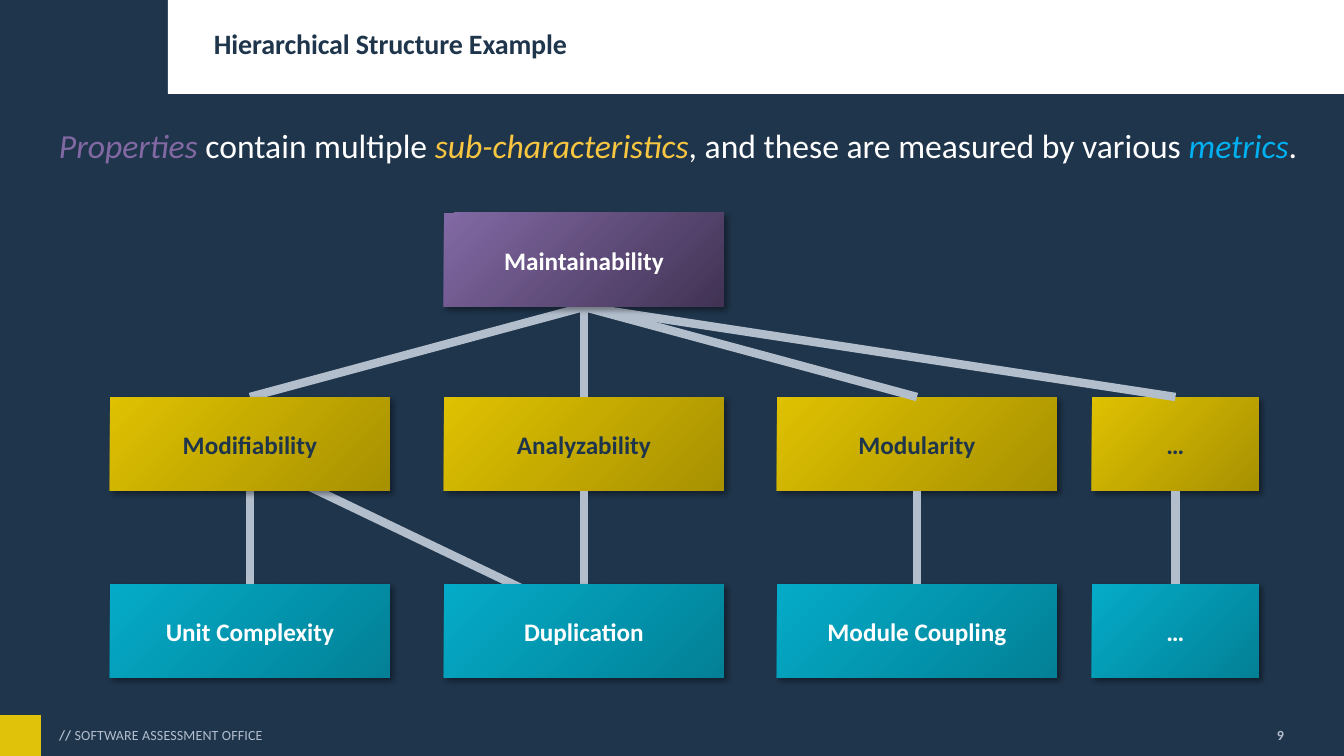
"""Builds the slide that shows a hierarchy of properties, sub-characteristics and metrics."""
from lxml import etree
from pptx import Presentation
from pptx.dml.color import RGBColor
from pptx.enum.shapes import MSO_CONNECTOR, MSO_SHAPE
from pptx.enum.text import MSO_ANCHOR, MSO_AUTO_SIZE, PP_ALIGN
from pptx.oxml import parse_xml
from pptx.oxml.ns import nsdecls, qn
from pptx.util import Pt

RECTANGLE, STRAIGHT = MSO_SHAPE.RECTANGLE, MSO_CONNECTOR.STRAIGHT
TOP, MIDDLE = MSO_ANCHOR.TOP, MSO_ANCHOR.MIDDLE
LEFT, CENTER, RIGHT = PP_ALIGN.LEFT, PP_ALIGN.CENTER, PP_ALIGN.RIGHT
FIXED, GROW = MSO_AUTO_SIZE.NONE, MSO_AUTO_SIZE.SHAPE_TO_FIT_TEXT
SIDE_TOP, SIDE_BOTTOM = 0, 2
PX = 914400 / 100.8

THEME = {
    "font": "Calibri",
    "navy": "1F354B", "white": "FFFFFF", "yellow": "E0C20A", "grey": "B2BECD",
    "link": "B3BECD", "property": "8369A4", "sub": "F8C640", "metric": "00B0F0",
    "title_size": 20, "intro_size": 24, "card_size": 18, "footer_size": 10, "link_width": 6,
    "tiers": [("8269A4", "413354", "FFFFFF"),
              ("DFC101", "A79101", "1F354B"),
              ("04ABC8", "038096", "FFFFFF")],
}


def px(*lengths):
    """Turn pixel lengths into EMU."""
    return [round(length * PX) for length in lengths]


def write(box, spans, size, insets, frame_format, para_format, spacing=0):
    """Fill one paragraph with (text, colour, bold, italic) spans."""
    frame = box.text_frame
    margins = ("margin_left", "margin_top", "margin_right", "margin_bottom")
    for name, value in [*zip(margins, px(*insets)), *frame_format.items()]:
        setattr(frame, name, value)
    para = frame.paragraphs[0]
    for name, value in para_format.items():
        setattr(para, name, value)
    for text, colour, bold, italic in spans:
        span = para.add_run()
        span.text = text
        font_format = {"name": THEME["font"], "size": Pt(size), "bold": bold, "italic": italic}
        for name, value in font_format.items():
            setattr(span.font, name, value)
        span.font.color.rgb = RGBColor.from_string(colour)
        if spacing:
            span.font._element.set("spc", str(spacing))


deck = Presentation()
deck.slide_width, deck.slide_height = px(1344, 756)
page = deck.slides.add_slide(deck.slide_layouts[5])

bands = [((0, 0, 1344, 756), "navy"), ((168, 0, 1176, 94), "white"), ((0, 715, 41, 41), "yellow")]
for place, colour in bands:
    band = page.shapes.add_shape(RECTANGLE, *px(*place))
    band.shadow.inherit = False
    band.fill.solid()
    band.fill.fore_color.rgb = RGBColor.from_string(THEME[colour])
    band.line.fill.background()

title = page.shapes.title
title.element.getparent().append(title.element)
title.left, title.top, title.width, title.height = px(214, 30, 1082, 31)
write(title, [("Hierarchical Structure Example", THEME["navy"], True, False)],
      THEME["title_size"], (0, 0, 0, 0),
      {"vertical_anchor": TOP, "auto_size": FIXED, "word_wrap": True},
      {"alignment": LEFT, "line_spacing": 0.9}, -10)

footer_insets = (0, 4, 10, 5)
footer = page.shapes.add_textbox(*px(59, 715, 533, 41))
write(footer, [("//", THEME["grey"], True, False),
               (" SOFTWARE ASSESSMENT OFFICE", THEME["grey"], False, False)],
      THEME["footer_size"], footer_insets,
      {"vertical_anchor": MIDDLE, "word_wrap": True}, {"alignment": LEFT}, 10)
number = page.shapes.add_textbox(*px(1267, 722, 27, 26))
write(number, [("9", THEME["grey"], True, False)], THEME["footer_size"], footer_insets,
      {"vertical_anchor": MIDDLE, "word_wrap": False, "auto_size": GROW},
      {"alignment": RIGHT}, 10)

intro = page.shapes.add_textbox(*px(49, 115, 1272, 53))
write(intro, [("Properties", THEME["property"], False, True),
              (" contain multiple ", THEME["white"], False, False),
              ("sub-characteristics", THEME["sub"], False, True),
              (", and these are measured by various ", THEME["white"], False, False),
              ("metrics", THEME["metric"], False, True),
              (".", THEME["white"], False, False)],
      THEME["intro_size"], (10, 5, 10, 5),
      {"vertical_anchor": TOP, "word_wrap": False, "auto_size": GROW},
      {"alignment": LEFT, "line_spacing": 1.13})

columns = [(110, 280), (444, 280), (777, 280), (1092, 167)]
tier_tops = [213, 397, 584]
labels = [
    {1: "Maintainability"},
    dict(enumerate(["Modifiability", "Analyzability", "Modularity", "…"])),
    dict(enumerate(["Unit Complexity", "Duplication", "Module Coupling", "…"])),
]
cards = {}
for tier, names in enumerate(labels):
    start, end, text_colour = THEME["tiers"][tier]
    for column, label in names.items():
        left, width = columns[column]
        card = page.shapes.add_shape(RECTANGLE, *px(left, tier_tops[tier], width, 94))
        card.fill.gradient()
        card.fill.gradient_angle = 315
        for stop, colour in zip(card.fill.gradient_stops, (start, end)):
            stop.color.rgb = RGBColor.from_string(colour)
        card.line.fill.background()
        card.shadow.inherit = False
        card.element.spPr.find(qn("a:effectLst")).append(parse_xml(
            f'<a:outerShdw {nsdecls("a")} blurRad="50800" dist="38100" dir="2700000" '
            'algn="tl" rotWithShape="0"><a:srgbClr val="000000"><a:alpha val="40000"/>'
            '</a:srgbClr></a:outerShdw>'))
        write(card, [(label, text_colour, True, False)], THEME["card_size"], (20, 8, 20, 8),
              {"vertical_anchor": MIDDLE, "word_wrap": True}, {"alignment": CENTER})
        cards[tier, column] = card

joins = [((0, 1), (1, column)) for column in range(4)]
joins += [((1, column), (2, column)) for column in range(4)]
links = []
for parent, child in joins:
    link = page.shapes.add_connector(STRAIGHT, 0, 0, 0, 0)
    link.begin_connect(cards[parent], SIDE_BOTTOM)
    link.end_connect(cards[child], SIDE_TOP)
    links.append(link)
links.append(page.shapes.add_connector(STRAIGHT, *px(285, 475, 548, 601)))
for link in links:
    link.line.color.rgb = RGBColor.from_string(THEME["link"])
    link.line.width = Pt(THEME["link_width"])
    etree.SubElement(link.element.spPr, qn("a:effectLst"))

for key in [(2, 1), (1, 0), (0, 1)]:
    front_card = cards[key].element
    front_card.getparent().append(front_card)

deck.save("out.pptx")
